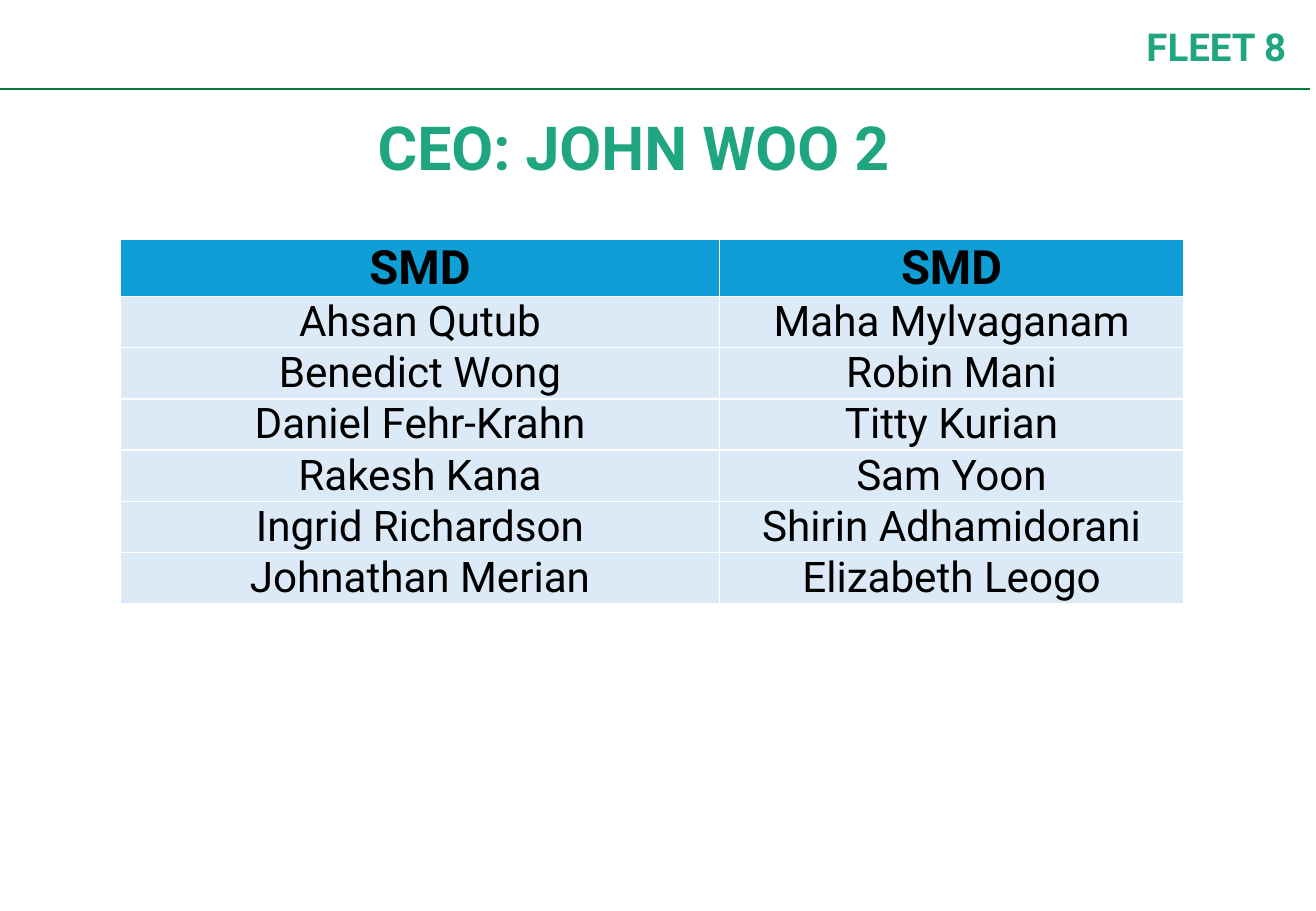
"""Build the Fleet 8 slide with its table of SMD names."""
import dataclasses

import lxml.etree
import pptx
import pptx.dml.color
import pptx.enum.shapes
import pptx.enum.text
import pptx.oxml.ns
import pptx.util

Pt = pptx.util.Pt
Align = pptx.enum.text.PP_ALIGN
qn = pptx.oxml.ns.qn


@dataclasses.dataclass(frozen=True)
class Theme:
    """Hold the colours, font and type sizes."""
    font: str = "Roboto"
    heading: str = "1FA680"
    rule: str = "02783F"
    text: str = "000000"
    header_fill: str = "0F9ED5"
    body_fill: str = "DCEAF7"
    border: str = "FFFFFF"
    title_size: float = 36
    fleet_size: float = 22.8
    header_size: float = 28
    body_size: float = 25


def rgb(color):
    """Turn a hex string into a colour."""
    return pptx.dml.color.RGBColor.from_string(color)


def write_text(text_frame, text, *, font, size, color, bold=False, align=Align.CENTER):
    """Write one formatted paragraph into a text frame."""
    paragraph = text_frame.paragraphs[0]
    paragraph.alignment = align
    run = paragraph.add_run()
    run.text = text
    run.font.name = font
    run.font.size = Pt(size)
    run.font.bold = bold
    run.font.color.rgb = rgb(color)


class SlideBuilder:
    """Draw styled elements on the current slide."""

    def __init__(self, slide, theme):
        """Keep the slide and the theme."""
        self.slide = slide
        self.theme = theme

    def rule(self, left, right, top):
        """Draw a horizontal rule."""
        connector = self.slide.shapes.add_connector(
            pptx.enum.shapes.MSO_CONNECTOR.STRAIGHT, Pt(left), Pt(top), Pt(right), Pt(top))
        connector.line.color.rgb = rgb(self.theme.rule)
        connector.line.width = Pt(1.5)
        properties = connector._element.find(qn("p:spPr"))
        lxml.etree.SubElement(properties, qn("a:effectLst"))

    def heading(self, text, left, top, width, height, size, align):
        """Add a bold heading."""
        shape = self.slide.shapes.add_textbox(Pt(left), Pt(top), Pt(width), Pt(height))
        frame = shape.text_frame
        frame.word_wrap = True
        frame.auto_size = pptx.enum.text.MSO_AUTO_SIZE.SHAPE_TO_FIT_TEXT
        frame.margin_left = frame.margin_right = Pt(5.76)
        frame.margin_top = frame.margin_bottom = Pt(2.88)
        write_text(frame, text, font=self.theme.font, size=size,
                   color=self.theme.heading, bold=True, align=align)

    def cell(self, cell, text, is_header):
        """Fill, border and label one table cell."""
        theme = self.theme
        cell.margin_left = cell.margin_right = cell.margin_top = cell.margin_bottom = Pt(0)
        cell.vertical_anchor = pptx.enum.text.MSO_ANCHOR.MIDDLE
        properties = cell._tc.get_or_add_tcPr()
        for side in ("lnL", "lnR", "lnT", "lnB"):
            border = lxml.etree.SubElement(properties, qn(f"a:{side}"), w=str(Pt(1)))
            fill = lxml.etree.SubElement(border, qn("a:solidFill"))
            lxml.etree.SubElement(fill, qn("a:srgbClr"), val=theme.border)
        cell.fill.solid()
        cell.fill.fore_color.rgb = rgb(theme.header_fill if is_header else theme.body_fill)
        write_text(cell.text_frame, text, font=theme.font, color=theme.text, bold=is_header,
                   size=theme.header_size if is_header else theme.body_size)

    def table(self, rows, left, top, widths, header_height, row_height):
        """Add a table whose first row is the header."""
        heights = [header_height] + [row_height] * (len(rows) - 1)
        table = self.slide.shapes.add_table(
            len(rows), len(widths), Pt(left), Pt(top), Pt(sum(widths)), Pt(sum(heights))).table
        for column, width in zip(table.columns, widths):
            column.width = Pt(width)
        for index, (row, height, texts) in enumerate(zip(table.rows, heights, rows)):
            row.height = Pt(height)
            for cell, text in zip(row.cells, texts):
                self.cell(cell, text, index == 0)


def main():
    """Build and save the slide."""
    presentation = pptx.Presentation()
    presentation.slide_width = Pt(780)
    presentation.slide_height = Pt(540)
    theme = Theme()
    builder = SlideBuilder(
        presentation.slides.add_slide(presentation.slide_layouts[6]), theme)
    builder.rule(-3.6, 776.4, 52.7)
    builder.heading("CEO: JOHN WOO 2", 146.9, 61.9, 457.2, 49.7,
                    theme.title_size, Align.CENTER)
    rows = [
        ("SMD", "SMD"),
        ("Ahsan Qutub", "Maha Mylvaganam"),
        ("Benedict Wong", "Robin Mani"),
        ("Daniel Fehr-Krahn", "Titty Kurian"),
        ("Rakesh Kana", "Sam Yoon"),
        ("Ingrid Richardson", "Shirin Adhamidorani"),
        ("Johnathan Merian", "Elizabeth Leogo"),
    ]
    builder.table(rows, 71.4, 142, (355, 275.2), 33.4, 30.4)
    builder.heading("FLEET 8", 424.8, 10.8, 343.4, 33.1, theme.fleet_size, Align.RIGHT)
    presentation.save("out.pptx")


if __name__ == "__main__":
    main()
